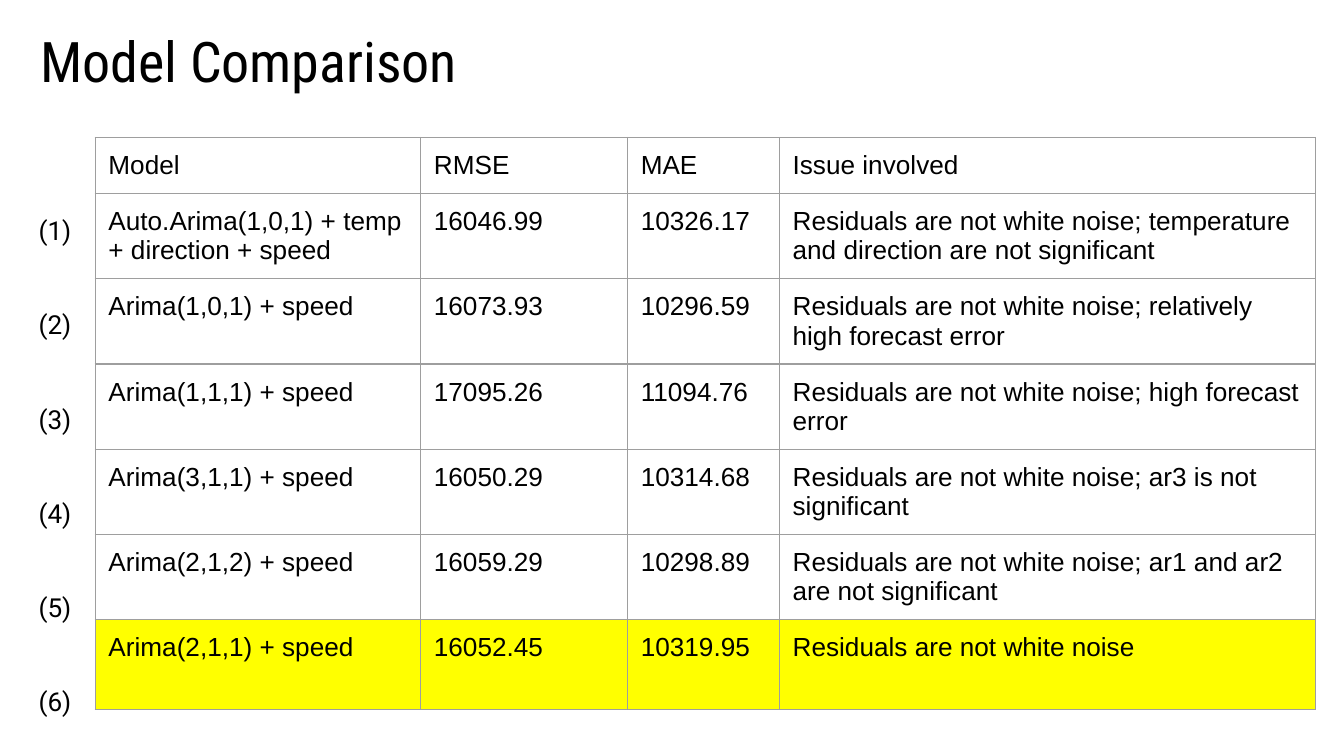
"""Build the model comparison slide."""
from dataclasses import dataclass

from lxml.etree import SubElement
from pptx import Presentation
from pptx.dml.color import RGBColor
from pptx.enum.text import MSO_ANCHOR, MSO_AUTO_SIZE, PP_ALIGN
from pptx.oxml.ns import qn
from pptx.util import Cm, Pt


@dataclass(frozen=True)
class Theme:
    ink: str = "000000"
    grid: str = "9E9E9E"
    best: str = "FFFF00"
    title_font: str = "Roboto Condensed"
    label_font: str = "Roboto"
    table_font: str = "Arial"
    title_size: float = 30
    body_size: float = 14
    grid_width: float = 0.75
    inset: float = 0.25


class SlideBuilder:
    """Hold the theme and the current slide."""

    def __init__(self, prs, theme):
        self.theme = theme
        self.s = prs.slides.add_slide(prs.slide_layouts[5])

    def add_run(self, p, text, font, size):
        r = p.add_run()
        r.text = text
        r.font.name = font
        r.font.size = Pt(size)
        r.font.bold = False
        r.font.color.rgb = RGBColor.from_string(self.theme.ink)

    def set_insets(self, box, inset):
        box.margin_left = box.margin_right = Cm(inset)
        box.margin_top = box.margin_bottom = Cm(inset)

    def title(self, text, left, top, width, height):
        sp = self.s.shapes.title
        sp.left, sp.top, sp.width, sp.height = map(Cm, (left, top, width, height))
        tf = sp.text_frame
        tf.auto_size = MSO_AUTO_SIZE.NONE
        tf.vertical_anchor = MSO_ANCHOR.MIDDLE
        self.set_insets(tf, 0)
        p = tf.paragraphs[0]
        p.alignment = PP_ALIGN.LEFT
        self.add_run(p, text, self.theme.title_font, self.theme.title_size)

    def labels(self, texts, left, top, width, height, gap):
        sp = self.s.shapes.add_textbox(*map(Cm, (left, top, width, height)))
        tf = sp.text_frame
        tf.word_wrap = True
        self.set_insets(tf, self.theme.inset)
        for i, text in enumerate(texts):
            p = tf.add_paragraph() if i else tf.paragraphs[0]
            p.space_before = Pt(gap if i else 0)
            self.add_run(p, text, self.theme.label_font, self.theme.body_size)

    def border(self, cell):
        tc_pr = cell._tc.get_or_add_tcPr()
        for side in ("a:lnL", "a:lnR", "a:lnT", "a:lnB"):
            ln = SubElement(tc_pr, qn(side), w=str(Pt(self.theme.grid_width)))
            fill = SubElement(ln, qn("a:solidFill"))
            SubElement(fill, qn("a:srgbClr"), val=self.theme.grid)

    def table(self, rows, left, top, widths, heights, best_row):
        frame = self.s.shapes.add_table(
            len(rows), len(widths), Cm(left), Cm(top), Cm(sum(widths)), Cm(sum(heights)))
        tbl = frame.table
        tbl.first_row = tbl.horz_banding = False
        for col, width in zip(tbl.columns, widths):
            col.width = Cm(width)
        for i, (row, height) in enumerate(zip(rows, heights)):
            tbl.rows[i].height = Cm(height)
            for j, text in enumerate(row):
                cell = tbl.cell(i, j)
                self.set_insets(cell, self.theme.inset)
                self.border(cell)
                if i == best_row:
                    cell.fill.solid()
                    cell.fill.fore_color.rgb = RGBColor.from_string(self.theme.best)
                else:
                    cell.fill.background()
                p = cell.text_frame.paragraphs[0]
                self.add_run(p, text, self.theme.table_font, self.theme.body_size)


MODELS = [
    ("Model", "RMSE", "MAE", "Issue involved"),
    ("Auto.Arima(1,0,1) + temp + direction + speed", "16046.99", "10326.17",
     "Residuals are not white noise; temperature and direction are not significant"),
    ("Arima(1,0,1) + speed", "16073.93", "10296.59",
     "Residuals are not white noise; relatively high forecast error"),
    ("Arima(1,1,1) + speed", "17095.26", "11094.76",
     "Residuals are not white noise; high forecast error"),
    ("Arima(3,1,1) + speed", "16050.29", "10314.68",
     "Residuals are not white noise; ar3 is not significant"),
    ("Arima(2,1,2) + speed", "16059.29", "10298.89",
     "Residuals are not white noise; ar1 and ar2 are not significant"),
    ("Arima(2,1,1) + speed", "16052.45", "10319.95", "Residuals are not white noise"),
]


def main():
    prs = Presentation()
    prs.slide_width, prs.slide_height = Cm(25.4), Cm(14.29)
    slide = SlideBuilder(prs, Theme())
    slide.table(MODELS, 1.8, 2.6, [6.15, 3.91, 2.87, 10.13],
                [1.06] * 6 + [1.7], best_row=len(MODELS) - 1)
    slide.title("Model Comparison", 0.76, 0.48, 15.44, 1.32)
    slide.labels([f"({n})" for n in range(1, len(MODELS))],
                 0.48, 3.81, 1.15, 10.08, gap=33.6)
    prs.save("out.pptx")


if __name__ == "__main__":
    main()
